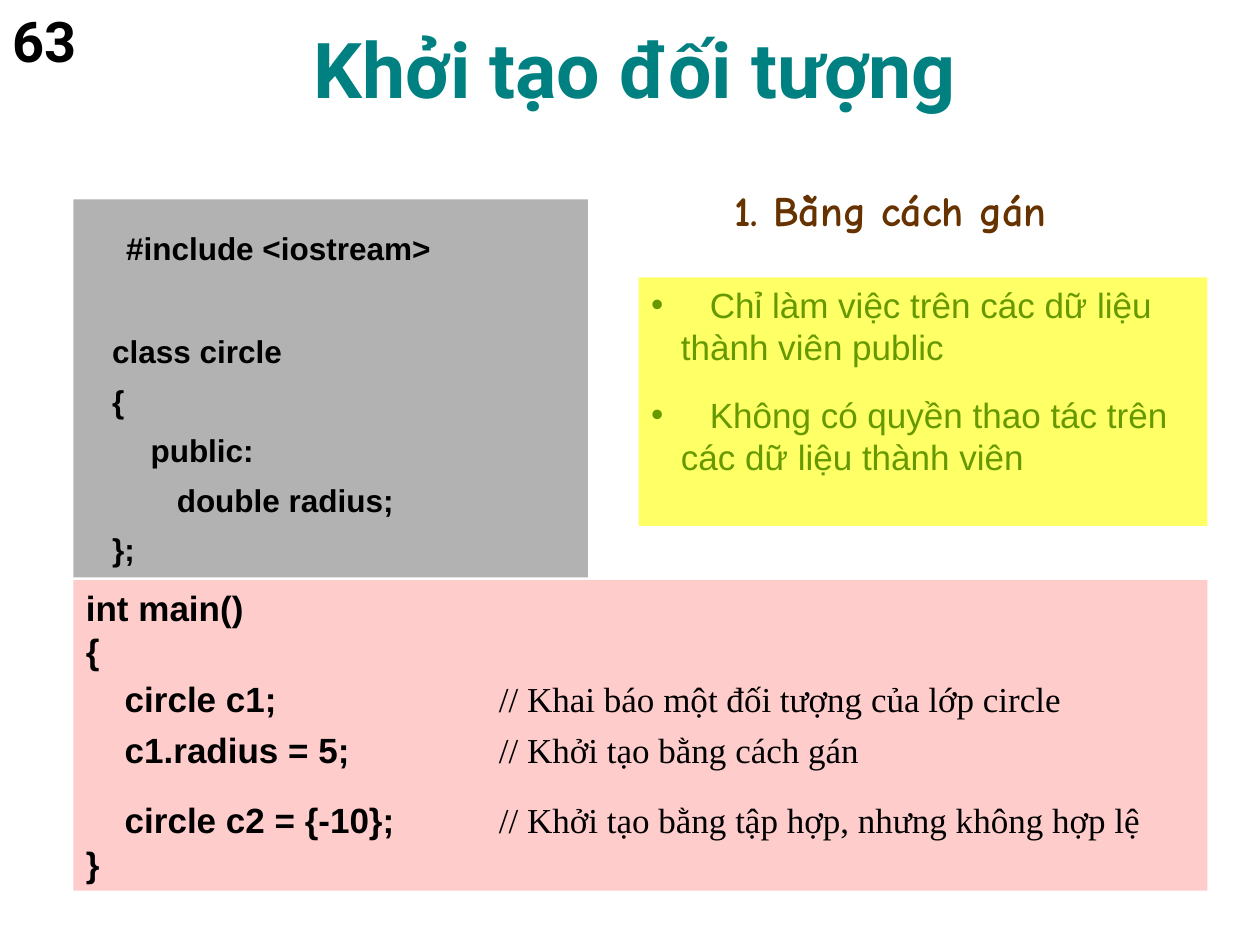
import pptx
import pptx.dml.color
import pptx.enum.shapes
import pptx.enum.text
import pptx.oxml.ns
import pptx.util
from dataclasses import dataclass
from lxml import etree

Pt = pptx.util.Pt
ALIGN = pptx.enum.text.PP_ALIGN
ANCHOR = pptx.enum.text.MSO_ANCHOR


@dataclass(frozen=True)
class Theme:
    sans: str = "Arial"
    serif: str = "Times New Roman"
    display: str = "Roboto"
    casual: str = "Comic Neue"
    black: str = "000000"
    teal: str = "008080"
    brown: str = "663300"
    green: str = "669900"
    gray: str = "B2B2B2"
    pink: str = "FFCCCC"
    yellow: str = "FFFF66"
    title: int = 44
    number: int = 32
    heading: int = 24
    body: int = 20
    code: int = 18


THEME = Theme()


def rgb(value):
    return pptx.dml.color.RGBColor.from_string(value)


def set_font(font, name, size, color, bold=False):
    font.name, font.size, font.bold = name, Pt(size), bold
    font.color.rgb = rgb(color)


def set_frame(sp, top=3.6, anchor=ANCHOR.TOP):
    tf = sp.text_frame
    tf.word_wrap = True
    tf.vertical_anchor = anchor
    tf.margin_left = tf.margin_right = Pt(7.2)
    tf.margin_top, tf.margin_bottom = Pt(top), Pt(3.6)
    return tf


def add_label(s, box, text, font, anchor=ANCHOR.TOP, align=ALIGN.LEFT):
    tf = set_frame(s.shapes.add_textbox(*map(Pt, box)), anchor=anchor)
    p = tf.paragraphs[0]
    p.text, p.alignment = text, align
    set_font(p.font, *font, bold=True)


def add_panel(s, box, color, top=3.6):
    """Add a filled rectangle and return its text frame."""
    sp = s.shapes.add_shape(pptx.enum.shapes.MSO_SHAPE.RECTANGLE, *map(Pt, box))
    sp.shadow.inherit = False
    sp.fill.solid()
    sp.fill.fore_color.rgb = rgb(color)
    sp.line.fill.background()
    return set_frame(sp, top)


def add_paragraph(tf, before):
    """Start the next paragraph; before is None for the first one."""
    if before is None:
        p = tf.paragraphs[0]
    else:
        p = tf.add_paragraph()
        p.space_before = Pt(before)
    p.alignment = ALIGN.LEFT
    return p


def set_indent(p, left, first=0):
    pPr = p._p.get_or_add_pPr()
    pPr.set("marL", str(Pt(left)))
    pPr.set("indent", str(Pt(first)))
    return pPr


def add_child(parent, tag, **attrs):
    return etree.SubElement(parent, pptx.oxml.ns.qn(tag), **attrs)


def add_tab(pPr, position):
    tabs = add_child(pPr, "a:tabLst")
    add_child(tabs, "a:tab", pos=str(Pt(position)), algn="l")


def add_class_code(s):
    tf = add_panel(s, (42, 114, 294, 216), THEME.gray, top=15)
    lines = [
        ("   #include <iostream>", 8, None),
        ("   class circle", 0, 35),
        ("   {", 0, 4.5),
        ("  public:", 27, 4.5),
        ("     double radius;", 27, 4.5),
        ("   };", 0, 4.5),
    ]
    for text, left, before in lines:
        p = add_paragraph(tf, before)
        p.text, p.line_spacing = text, 1.1
        set_indent(p, left)
        set_font(p.font, THEME.sans, THEME.code, THEME.black, bold=True)


def add_main_code(s):
    tf = add_panel(s, (42, 331.5, 648, 177.5), THEME.pink)
    lines = [
        ("int main()", "", None),
        ("{", "", 0.6),
        ("    circle c1;", "// Khai báo một đối tượng của lớp circle", 3.6),
        ("    c1.radius = 5;", "// Khởi tạo bằng cách gán", 4.8),
        ("    circle c2 = {-10};", "// Khởi tạo bằng tập hợp, nhưng không hợp lệ", 16.4),
        ("}", "", 1),
    ]
    for code, comment, before in lines:
        p = add_paragraph(tf, before)
        parts = [(code, THEME.sans, True)]
        if comment:
            add_tab(p._p.get_or_add_pPr(), 236)
            parts.append(("\t" + comment, THEME.serif, False))
        for text, name, bold in parts:
            r = p.add_run()
            r.text = text
            set_font(r.font, name, THEME.body, THEME.black, bold)


def add_notes_panel(s):
    tf = add_panel(s, (365, 158.5, 325, 142), THEME.yellow)
    items = [
        ("Chỉ làm việc trên các dữ liệu thành viên public", None),
        ("Không có quyền thao tác trên các dữ liệu thành viên", 14.5),
    ]
    for text, before in items:
        p = add_paragraph(tf, before)
        pPr = set_indent(p, 17, -17)
        add_child(pPr, "a:buFont", typeface=THEME.sans)
        add_child(pPr, "a:buChar", char="•")
        add_tab(pPr, 33.5)
        p.text = "\t" + text
        set_font(p.font, THEME.sans, THEME.body, THEME.green)


def main():
    prs = pptx.Presentation()
    prs.slide_width, prs.slide_height = Pt(720), Pt(540)
    s = prs.slides.add_slide(prs.slide_layouts[6])
    add_label(s, (24, 12, 678, 56.5), "Khởi tạo đối tượng",
              (THEME.display, THEME.title, THEME.teal), ANCHOR.BOTTOM, ALIGN.CENTER)
    add_class_code(s)
    add_main_code(s)
    add_label(s, (412.5, 102, 220, 36), "1. Bằng cách gán",
              (THEME.casual, THEME.heading, THEME.brown))
    add_notes_panel(s)
    add_label(s, (0, 0, 78, 51), "63", (THEME.display, THEME.number, THEME.black))
    prs.save("out.pptx")


if __name__ == "__main__":
    main()
